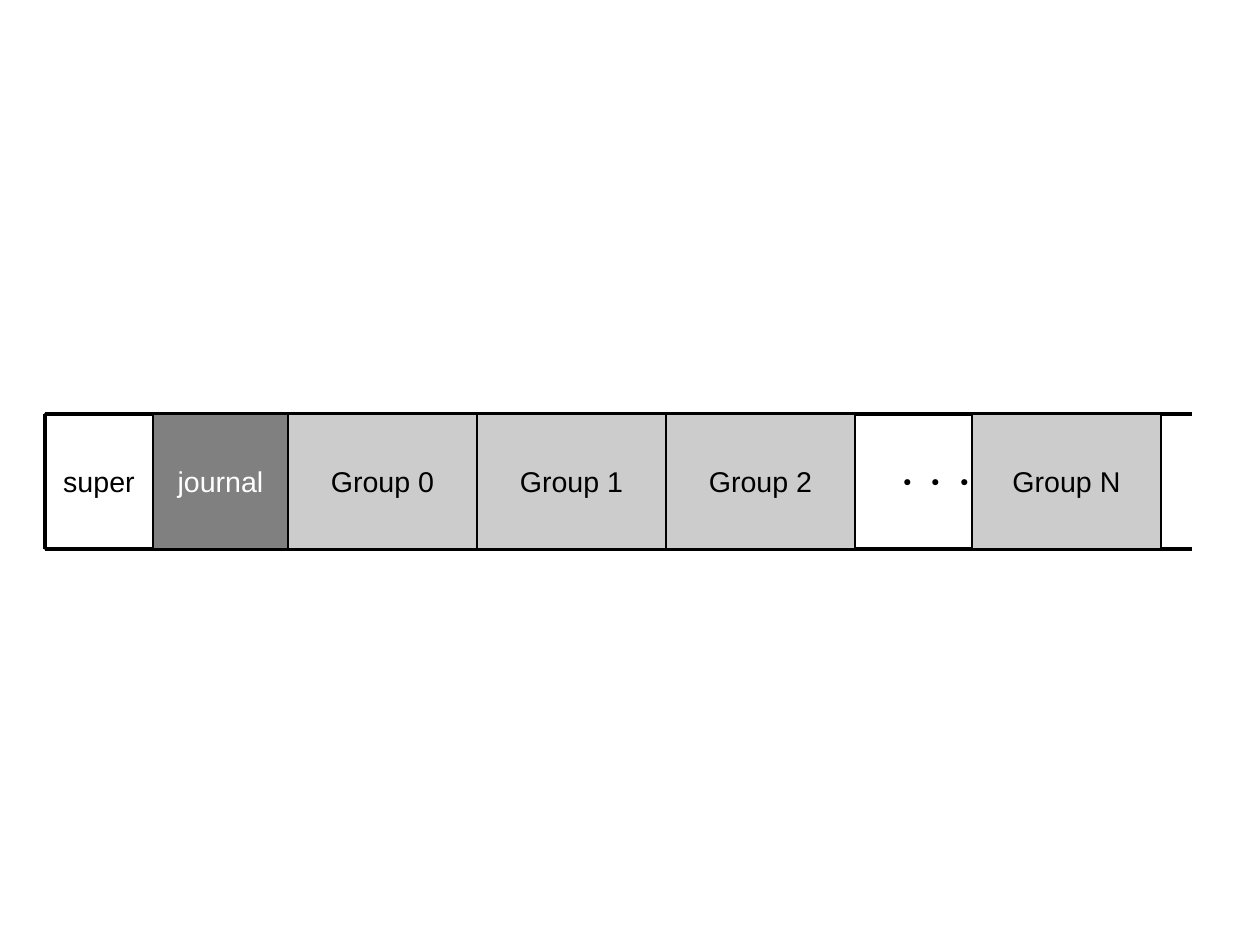
from pptx import Presentation
from pptx import util as u
from pptx.dml.color import RGBColor
from pptx.enum import shapes, text
from pptx.oxml.ns import qn
from lxml import etree

BLACK, WHITE, GREY, LIGHT = "000000", "FFFFFF", "808080", "CCCCCC"
BLOCKS = [
    ("super", 108, None, BLACK),
    ("journal", 135, GREY, WHITE),
    ("Group 0", 189, LIGHT, BLACK),
    ("Group 1", 189, LIGHT, BLACK),
    ("Group 2", 189, LIGHT, BLACK),
    ("・・・", 117, None, BLACK),
    ("Group N", 189, LIGHT, BLACK),
]
ELLIPSIS = "・・・"
LEFT, TOP, RIGHT, HEIGHT = 45, 414, 1192, 135
BOTTOM = TOP + HEIGHT
EDGES = [
    (LEFT, BOTTOM, LEFT, TOP),
    (LEFT, TOP, RIGHT, TOP),
    (LEFT, BOTTOM, RIGHT, BOTTOM),
]


def px(n):
    return u.Emu(n * 8000)


def rgb(value):
    return RGBColor.from_string(value)


def write(tf, words, color):
    tf.word_wrap = False
    p = tf.paragraphs[0]
    r = p.add_run()
    r.text = words
    r.font.name = "Arial"
    r.font.size = u.Pt(18)
    r.font.color.rgb = rgb(color)
    return p


def add_edge(s, points):
    line = s.shapes.add_connector(shapes.MSO_CONNECTOR.STRAIGHT, *map(px, points))
    line.line.color.rgb = rgb(BLACK)
    line.line.width = u.Pt(2.3)
    etree.SubElement(line._element.spPr, qn("a:effectLst"))


def add_block(s, x, width, words, fill, color):
    sp = s.shapes.add_shape(
        shapes.MSO_SHAPE.RECTANGLE, px(x), px(TOP), px(width), px(HEIGHT))
    sp.shadow.inherit = False
    if fill:
        sp.fill.solid()
        sp.fill.fore_color.rgb = rgb(fill)
    else:
        sp.fill.background()
    sp.line.color.rgb = rgb(BLACK)
    sp.line.width = u.Pt(1.5)
    tf = sp.text_frame
    tf.margin_left = tf.margin_right = px(12)
    tf.margin_top = tf.margin_bottom = px(7)
    tf.vertical_anchor = text.MSO_ANCHOR.MIDDLE
    write(tf, words, color).alignment = text.PP_ALIGN.CENTER


def add_ellipsis(s, x, words, color):
    tf = s.shapes.add_textbox(px(x + 27), px(TOP + 45), px(109), px(53)).text_frame
    tf.auto_size = text.MSO_AUTO_SIZE.SHAPE_TO_FIT_TEXT
    write(tf, words, color)


def main():
    prs = Presentation()
    prs.slide_width, prs.slide_height = px(1260), px(945)
    s = prs.slides.add_slide(prs.slide_layouts[6])
    for points in EDGES:
        add_edge(s, points)
    x = LEFT
    for words, width, fill, color in BLOCKS:
        if words == ELLIPSIS:
            add_ellipsis(s, x, words, color)
        else:
            add_block(s, x, width, words, fill, color)
        x += width
    prs.save("out.pptx")


if __name__ == "__main__":
    main()
